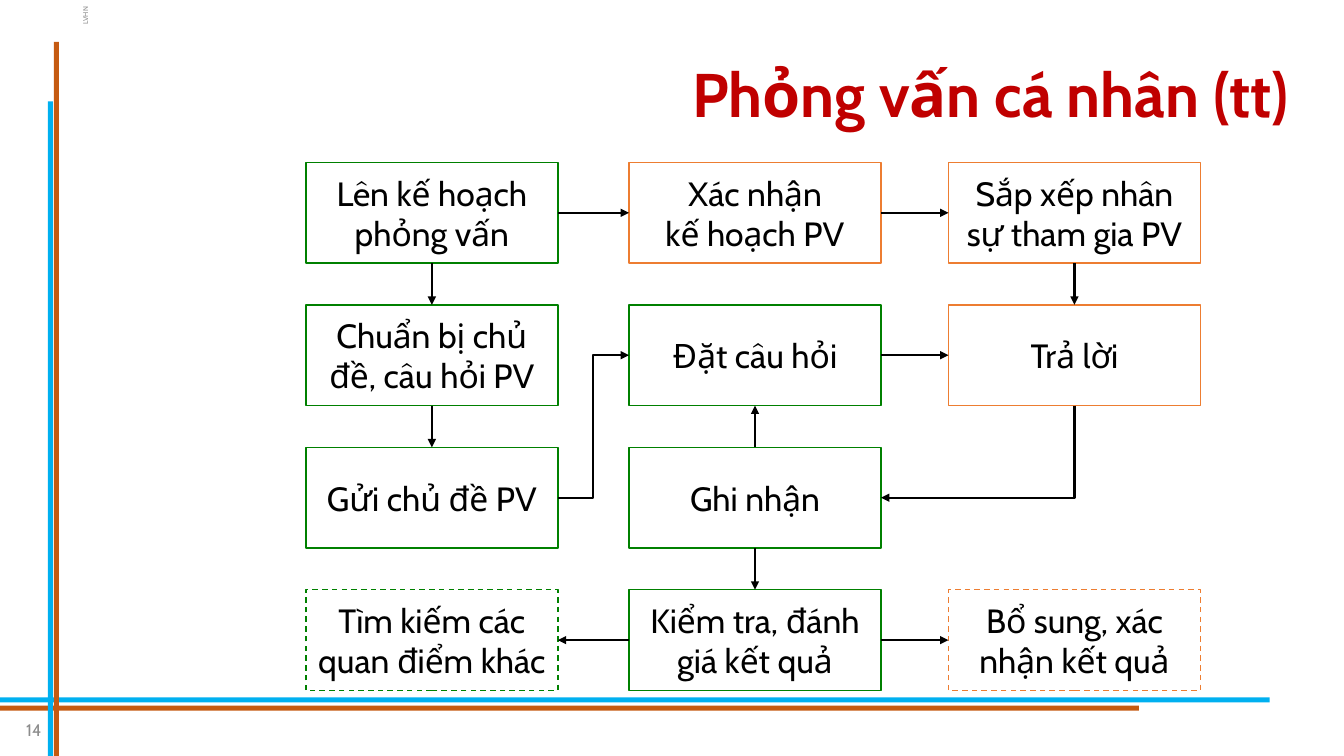
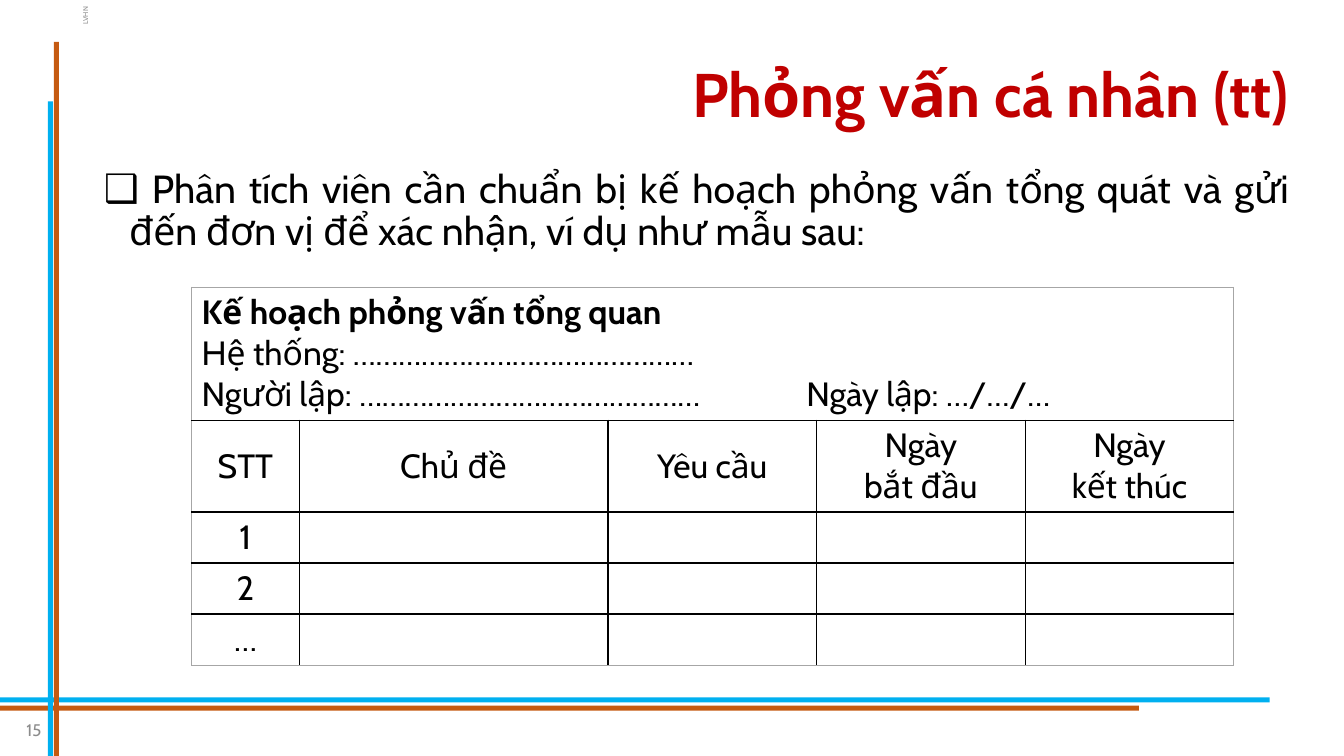
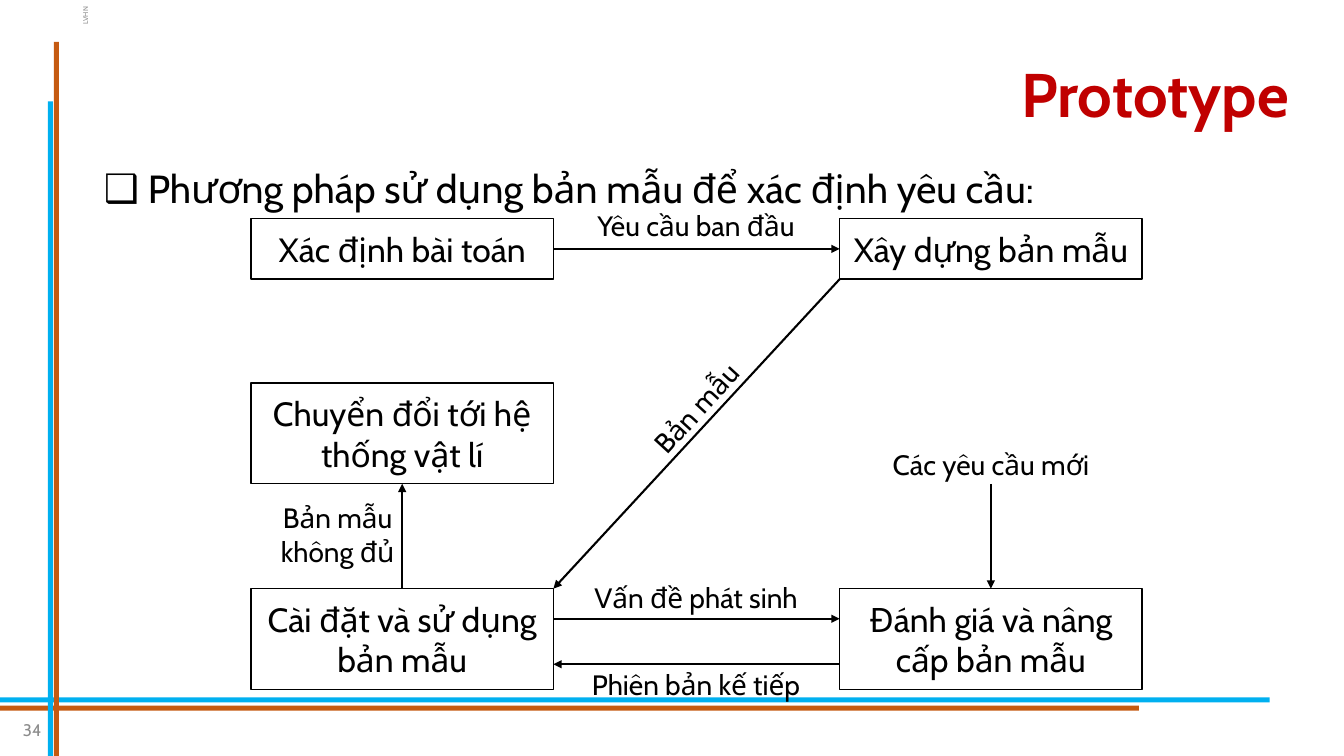
import dataclasses

import lxml.etree
import pptx
import pptx.dml.color
import pptx.enum.dml
import pptx.enum.shapes
import pptx.enum.text
import pptx.oxml.ns
import pptx.util

Pt = pptx.util.Pt
Align = pptx.enum.text.PP_ALIGN
Anchor = pptx.enum.text.MSO_ANCHOR
Connector = pptx.enum.shapes.MSO_CONNECTOR
TOP, LEFT, BOTTOM, RIGHT = range(4)


@dataclasses.dataclass(frozen=True)
class Theme:
    font: str = "Cabin"
    black: str = "000000"
    white: str = "FFFFFF"
    title_red: str = "C00000"
    sky: str = "00B0F0"
    rust: str = "C55A11"
    green: str = "008000"
    orange: str = "ED7D31"
    grey: str = "8C8C8C"
    pale: str = "A6A6A6"
    title_size: float = 44
    body_size: float = 28
    box_size: float = 24
    label_size: float = 20
    number_size: float = 12
    mark_size: float = 5


THEME = Theme()


def color_of(code):
    return pptx.dml.color.RGBColor.from_string(code)


def add_element(parent, tag, **attributes):
    names = {name: str(value) for name, value in attributes.items()}
    return lxml.etree.SubElement(parent, pptx.oxml.ns.qn(tag), names)


def write_text(frame, text, size=THEME.box_size, color=THEME.black, bold=False,
               align=Align.CENTER, anchor=Anchor.MIDDLE, line_spacing=None, wrap=True):
    frame.word_wrap = wrap
    frame.vertical_anchor = anchor
    for index, line in enumerate(text.split("\n")):
        para = frame.add_paragraph() if index else frame.paragraphs[0]
        para.alignment = align
        para.line_spacing = line_spacing
        span = para.add_run()
        span.text = line
        span.font.name = THEME.font
        span.font.size = Pt(size)
        span.font.bold = bold
        span.font.color.rgb = color_of(color)


def locate(spot):
    box, side = spot
    if not hasattr(box, "left"):
        return Pt(box), Pt(side)
    across = {LEFT: 0, RIGHT: box.width}.get(side, box.width // 2)
    down = {TOP: 0, BOTTOM: box.height}.get(side, box.height // 2)
    return box.left + across, box.top + down


class Slides:
    def __init__(self, theme):
        self.theme = theme
        self.deck = pptx.Presentation()
        self.deck.slide_width = Pt(960)
        self.deck.slide_height = Pt(540)
        self.page = None

    def start(self, title, number, point=None, align=Align.LEFT):
        theme = self.theme
        layout = self.deck.slide_layouts[1 if point else 5]
        self.page = self.deck.slides.add_slide(layout)
        self.placeholder(self.page.shapes.title, (66.2, 17.3, 861.8, 104.4), title,
                         size=theme.title_size, color=theme.title_red, bold=True,
                         align=Align.RIGHT)
        if point:
            self.bullet(point, align)
        self.label("LVHN", 47.5, 4.3, 27.4, 13.7, size=theme.mark_size,
                   color=theme.grey, wrap=False, rotation=270)
        for bar in ((0, 498.2, 907, 3.6, theme.sky), (0, 504, 813.6, 3.6, theme.rust),
                    (34.2, 72.4, 3.6, 467.6, theme.sky), (38.5, 30, 3.6, 510, theme.rust)):
            self.box("", *bar[:4], fill=bar[4])
        self.label(number, 0, 506.9, 36.7, 28.8, size=theme.number_size,
                   color=theme.grey, align=Align.RIGHT, anchor=Anchor.MIDDLE)

    def placeholder(self, holder, place, text, **style):
        holder.left, holder.top, holder.width, holder.height = map(Pt, place)
        write_text(holder.text_frame, text, line_spacing=0.9, **style)
        holder.text_frame.auto_size = pptx.enum.text.MSO_AUTO_SIZE.NONE

    def bullet(self, text, align):
        body = self.page.placeholders[1]
        self.placeholder(body, (67, 117.4, 861, 368.6), text, size=self.theme.body_size,
                         align=align, anchor=Anchor.TOP)
        para = body.text_frame.paragraphs[0]
        para.space_before = Pt(10)
        properties = para._p.get_or_add_pPr()
        properties.set("marL", str(Pt(18)))
        properties.set("indent", str(-Pt(18)))
        add_element(properties, "a:buFont", typeface=self.theme.font)
        add_element(properties, "a:buChar", char="❑")

    def box(self, text, left, top, width, height, line=None, dashed=False,
            fill=THEME.white, **style):
        box = self.page.shapes.add_shape(pptx.enum.shapes.MSO_SHAPE.RECTANGLE,
                                         Pt(left), Pt(top), Pt(width), Pt(height))
        box.shadow.inherit = False
        box.fill.solid()
        box.fill.fore_color.rgb = color_of(fill)
        if line:
            box.line.color.rgb = color_of(line)
            box.line.width = Pt(1)
        else:
            box.line.fill.background()
        if dashed:
            box.line.dash_style = pptx.enum.dml.MSO_LINE.DASH
        if text:
            write_text(box.text_frame, text, **style)
        return box

    def label(self, text, left, top, width, height, rotation=0, size=THEME.label_size,
              anchor=Anchor.TOP, **style):
        box = self.page.shapes.add_textbox(Pt(left), Pt(top), Pt(width), Pt(height))
        box.rotation = rotation
        write_text(box.text_frame, text, size=size, anchor=anchor, **style)

    def arrow(self, start, end, kind=Connector.STRAIGHT):
        arrow = self.page.shapes.add_connector(kind, *locate(start), *locate(end))
        if hasattr(start[0], "left"):
            arrow.begin_connect(*start)
        if hasattr(end[0], "left"):
            arrow.end_connect(*end)
        arrow.line.color.rgb = color_of(self.theme.black)
        arrow.line.width = Pt(1.5)
        add_element(arrow.line._get_or_add_ln(), "a:tailEnd", type="triangle")
        add_element(arrow._element.spPr, "a:effectLst")
        return arrow

    def corner_arrow(self, start, end):
        arrow = self.arrow(start, end, Connector.ELBOW)
        (start_x, start_y), (end_x, end_y) = locate(start), locate(end)
        drop, run = end_y - start_y, start_x - end_x
        shape = arrow._element.spPr
        shape.find(pptx.oxml.ns.qn("a:prstGeom")).set("prst", "bentConnector2")
        frame = shape.find(pptx.oxml.ns.qn("a:xfrm"))
        frame.attrib.clear()
        frame.set("rot", str(90 * 60000))
        arrow.left = (start_x + end_x - drop) // 2
        arrow.top = (start_y + end_y - run) // 2
        arrow.width, arrow.height = drop, run

    def table(self, left, top, widths, heights):
        table = self.page.shapes.add_table(len(heights), len(widths), Pt(left), Pt(top),
                                           Pt(sum(widths)), Pt(sum(heights))).table
        table.first_row = table.horz_banding = False
        for column, width in zip(table.columns, widths):
            column.width = Pt(width)
        for row, height in zip(table.rows, heights):
            row.height = Pt(height)
        return table

    def rule_cells(self, table):
        last_row, last_column = len(table.rows), len(table.columns)
        for row in range(last_row):
            for column in range(last_column):
                cell = table.cell(row, column)
                outer = {"L": column == 0, "R": column + cell.span_width == last_column,
                         "T": row == 0, "B": row + 1 == last_row}
                properties = cell._tc.get_or_add_tcPr()
                for side, is_outer in outer.items():
                    line = add_element(properties, "a:ln" + side,
                                       w=Pt(0.5 if is_outer else 1))
                    fill = add_element(line, "a:solidFill")
                    add_element(fill, "a:srgbClr",
                                val=self.theme.pale if is_outer else self.theme.black)
                cell.fill.solid()
                cell.fill.fore_color.rgb = color_of(self.theme.white)


def interview_flow(slides):
    slides.start("Phỏng vấn cá nhân (tt)", "14")
    green, orange = slides.theme.green, slides.theme.orange
    lefts = (218.5, 449.3, 677.5)

    def step(text, row, column, line, dashed=False):
        return slides.box(text, lefts[column], 116 + 101.75 * row, 180, 72, line, dashed)

    plan = step("Lên kế hoạch phỏng vấn", 0, 0, green)
    confirm = step("Xác nhận\nkế hoạch PV", 0, 1, orange)
    staff = step("Sắp xếp nhân sự tham gia PV", 0, 2, orange)
    prepare = step("Chuẩn bị chủ đề, câu hỏi PV", 1, 0, green)
    ask = step("Đặt câu hỏi", 1, 1, green)
    answer = step("Trả lời", 1, 2, orange)
    send = step("Gửi chủ đề PV", 2, 0, green)
    record = step("Ghi nhận", 2, 1, green)
    explore = step("Tìm kiếm các quan điểm khác", 3, 0, green, True)
    review = step("Kiểm tra, đánh giá kết quả", 3, 1, green)
    complete = step("Bổ sung, xác nhận kết quả", 3, 2, orange, True)

    for start, end in ((plan, confirm), (confirm, staff), (ask, answer), (review, complete)):
        slides.arrow((start, RIGHT), (end, LEFT))
    for start, end in ((plan, prepare), (prepare, send), (staff, answer), (record, review)):
        slides.arrow((start, BOTTOM), (end, TOP))
    slides.arrow((record, TOP), (ask, BOTTOM))
    slides.arrow((review, LEFT), (explore, RIGHT))
    slides.arrow((send, RIGHT), (ask, LEFT), Connector.ELBOW)
    slides.corner_arrow((answer, BOTTOM), (record, RIGHT))


def interview_plan(slides):
    slides.start("Phỏng vấn cá nhân (tt)", "15",
                 " Phân tích viên cần chuẩn bị kế hoạch phỏng vấn tổng quát và gửi "
                 "đến đơn vị để xác nhận, ví dụ như mẫu sau:", Align.JUSTIFY)
    table = slides.table(136.8, 205.2, (77, 220.5, 149, 149, 149),
                         (95, 65.5, 36.5, 36.5, 36.5))
    heading = table.cell(0, 0)
    heading.merge(table.cell(0, 4))
    dots = "………………………………………"
    write_text(heading.text_frame,
               f"Kế hoạch phỏng vấn tổng quan\nHệ thống: {dots}\n"
               f"Người lập: {dots}\tNgày lập: …/…/…", align=Align.LEFT)
    paras = heading.text_frame.paragraphs
    paras[0].runs[0].font.bold = True
    tabs = add_element(paras[-1]._p.get_or_add_pPr(), "a:tabLst")
    add_element(tabs, "a:tab", pos=Pt(432), algn="l")
    names = ("STT", "Chủ đề", "Yêu cầu", "Ngày\nbắt đầu", "Ngày\nkết thúc")
    for column, name in enumerate(names):
        cell = table.cell(1, column)
        write_text(cell.text_frame, name)
        cell.vertical_anchor = Anchor.MIDDLE
    for row, number in enumerate(("1", "2", "…"), 2):
        write_text(table.cell(row, 0).text_frame, number)
    slides.rule_cells(table)


def prototype_flow(slides):
    slides.start("Prototype", "34", " Phương pháp sử dụng bản mẫu để xác định yêu cầu:")
    black = slides.theme.black
    near, far, width = 179.3, 599.8, 216
    inner = near + width
    define = slides.box("Xác định bài toán", near, 156.2, width, 43.2, black)
    build = slides.box("Xây dựng bản mẫu", far, 156.2, width, 43.2, black)
    install = slides.box("Cài đặt và sử dụng bản mẫu", near, 420.5, width, 72, black)
    convert = slides.box("Chuyển đổi tới hệ thống vật lí", near, 273.6, width, 72, black)
    upgrade = slides.box("Đánh giá và nâng cấp bản mẫu", far, 420.5, width, 72, black)
    request = slides.box("Các yêu cầu mới", far, 318.2, width, 27.4,
                         size=slides.theme.label_size)

    slides.arrow((define, RIGHT), (build, LEFT))
    slides.arrow((far, 199.4), (inner, 420.5))
    slides.arrow((inner, 442), (far, 442))
    slides.arrow((far, 474.5), (inner, 474.5))
    slides.arrow((install, TOP), (convert, BOTTOM))
    slides.arrow((request, BOTTOM), (upgrade, TOP))

    slides.label("Bản mẫu không đủ", 187.2, 354.2, 108, 55.4)
    for text, top, rotation in (("Yêu cầu ban đầu", 145.4, 0), ("Bản mẫu", 275.8, 312.5),
                                ("Vấn đề phát sinh", 411.1, 0),
                                ("Phiên bản kế tiếp", 473, 0)):
        slides.label(text, inner, top, 203.8, 31.7, rotation)


def main():
    slides = Slides(THEME)
    interview_flow(slides)
    interview_plan(slides)
    prototype_flow(slides)
    slides.deck.save("out.pptx")


if __name__ == "__main__":
    main()
